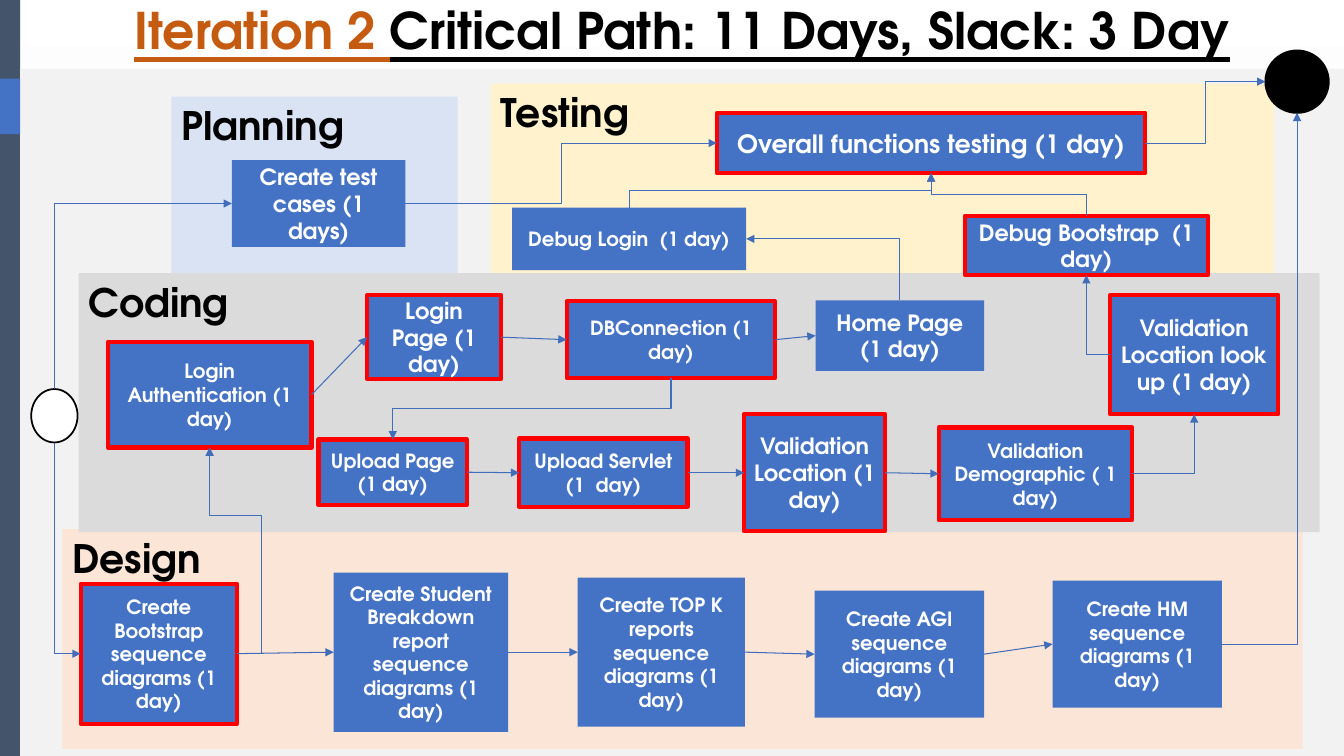
from collections import namedtuple
from lxml import etree
from pptx import Presentation
from pptx.dml.color import RGBColor
from pptx.enum.shapes import MSO_CONNECTOR, MSO_SHAPE
from pptx.enum.text import MSO_ANCHOR, PP_ALIGN
from pptx.oxml.ns import qn
from pptx.util import Inches, Pt

RECT, OVAL = MSO_SHAPE.RECTANGLE, MSO_SHAPE.OVAL
STRAIGHT = MSO_CONNECTOR.STRAIGHT
TOP, MIDDLE = MSO_ANCHOR.TOP, MSO_ANCHOR.MIDDLE
LEFT, CENTER = PP_ALIGN.LEFT, PP_ALIGN.CENTER

Box = namedtuple("Box", "x y w h")
Phase = namedtuple("Phase", "title color box tasks")
Task = namedtuple("Task", "key text box size critical")


class Theme:
    font = "TeX Gyre Adventor"
    black, white, orange = "000000", "FFFFFF", "C55A11"
    sidebar, blue, arrow, red = "44546A", "4472C4", "416DBB", "FF0000"
    canvas, backdrop = "F2F2F2", "E1DFDF"
    title, heading, large, medium, small = 36, 28, 18, 16, 14
    critical_line, node_line, arrow_line = 3, 1.25, 0.75


PHASES = [
    Phase("Design", "FBE5D6", Box(0.62, 5.25, 12.3, 2.18), [
        Task("bootstrap", "Create Bootstrap sequence diagrams (1 day)",
             Box(0.18, 0.54, 1.55, 1.39), Theme.small, True),
        Task("breakdown", "Create Student Breakdown report sequence diagrams (1 day)",
             Box(2.69, 0.43, 1.73, 1.58), Theme.small, False),
        Task("top k", "Create TOP K reports sequence diagrams (1 day)",
             Box(5.11, 0.48, 1.66, 1.48), Theme.small, False),
        Task("agi", "Create AGI sequence diagrams (1 day)",
             Box(7.46, 0.61, 1.68, 1.26), Theme.small, False),
        Task("hm", "Create HM sequence diagrams (1 day)",
             Box(9.82, 0.51, 1.68, 1.26), Theme.small, False)]),
    Phase("Testing", "FFF2CC", Box(4.87, 0.83, 7.77, 2.03), [
        Task("overall", "Overall functions testing (1 day)",
             Box(2.24, 0.29, 4.25, 0.6), Theme.large, True),
        Task("debug login", "Debug Login  (1 day)",
             Box(0.21, 1.23, 2.32, 0.62), Theme.small, False),
        Task("debug bootstrap", "Debug Bootstrap  (1 day)",
             Box(4.7, 1.31, 2.41, 0.59), Theme.medium, True)]),
    Phase("Planning", "DAE3F3", Box(1.7, 0.96, 2.84, 1.77), [
        Task("test cases", "Create test cases (1 days)",
             Box(0.6, 0.63, 1.72, 0.86), Theme.medium, False)]),
    Phase("Coding", "DBDBDB", Box(0.78, 2.71, 12.31, 2.57), [
        Task("authentication", "Login Authentication (1 day)",
             Box(0.29, 0.68, 2.02, 1.05), Theme.small, True),
        Task("login page", "Login Page (1 day)",
             Box(2.86, 0.22, 1.33, 0.83), Theme.medium, True),
        Task("connection", "DBConnection (1 day)",
             Box(4.84, 0.28, 2.07, 0.76), Theme.small, True),
        Task("home page", "Home Page (1 day)",
             Box(7.31, 0.27, 1.67, 0.7), Theme.medium, False),
        Task("upload page", "Upload Page (1 day)",
             Box(2.38, 1.65, 1.47, 0.65), Theme.small, True),
        Task("servlet", "Upload Servlet (1  day)",
             Box(4.37, 1.64, 1.67, 0.68), Theme.small, True),
        Task("location", "Validation Location (1 day)",
             Box(6.6, 1.4, 1.4, 1.16), Theme.medium, True),
        Task("demographic", "Validation Demographic ( 1 day)",
             Box(8.53, 1.53, 1.92, 0.92), Theme.small, True),
        Task("look up", "Validation Location look up (1 day)",
             Box(10.23, 0.22, 1.67, 1.18), Theme.medium, True)]),
]

ROW_CHAINS = [
    ["bootstrap", "breakdown", "top k", "agi", "hm"],
    ["authentication", "login page", "connection", "home page"],
    ["upload page", "servlet", "location", "demographic"],
]
ELBOWS = [
    ("start", "top", "test cases", "left", 2, ()),
    ("start", "bottom", "bootstrap", "left", 2, ()),
    ("test cases", "right", "overall", "left", 3, (0.5,)),
    ("debug login", "top", "overall", "bottom", 3, (0.5,)),
    ("debug bootstrap", "top", "overall", "bottom", 3, (0.5,)),
    ("overall", "right", "finish", "left", 3, (0.5,)),
    ("hm", "right", "finish", "bottom", 2, ()),
    ("connection", "bottom", "upload page", "top", 3, (0.5,)),
    ("home page", "top", "debug login", "right", 2, ()),
    ("demographic", "right", "look up", "bottom", 2, ()),
    ("look up", "left", "debug bootstrap", "bottom", 2, ()),
    ("bootstrap", "right", "authentication", "bottom", 4, (-0.92, 0.67)),
]
SIDES = {"top": (0.5, 0), "left": (0, 0.5), "bottom": (0.5, 1), "right": (1, 0.5)}


def rgb(color):
    return RGBColor.from_string(color)


def add_run(paragraph, text, size, color, underline=None):
    run = paragraph.add_run()
    run.text = text
    run.font.name, run.font.size = Theme.font, Pt(size)
    run.font.bold, run.font.underline = True, underline
    run.font.color.rgb = rgb(color)


def add_block(slide, box, fill, line=None, width=0, kind=RECT):
    block = slide.shapes.add_shape(kind, *map(Inches, box))
    block.shadow.inherit = False
    block.fill.solid()
    block.fill.fore_color.rgb = rgb(fill)
    if line:
        block.line.color.rgb = rgb(line)
        block.line.width = Pt(width)
    else:
        block.line.fill.background()
    return block


def write_label(block, text, size, color, align, anchor):
    frame = block.text_frame
    frame.word_wrap, frame.vertical_anchor = True, anchor
    frame.paragraphs[0].alignment = align
    add_run(frame.paragraphs[0], text, size, color)


def draw_backdrop(slide, box):
    fill = slide.background.fill
    fill.gradient()
    fill.gradient_angle = 270
    for stop, color in zip(fill.gradient_stops, (Theme.white, Theme.backdrop)):
        stop.color.rgb = rgb(color)
    add_block(slide, Box(box.x, box.y, 0.2, box.h), Theme.sidebar)
    add_block(slide, Box(box.x + 0.2, box.y + 0.68, box.w - 0.2, box.h - 0.68), Theme.canvas)
    add_block(slide, Box(box.x, box.y + 0.78, 0.2, 0.55), Theme.blue)


def draw_title(slide, box):
    title = slide.shapes.title
    title.left, title.top, title.width, title.height = map(Inches, box)
    frame = title.text_frame
    frame.word_wrap, frame.vertical_anchor = True, TOP
    frame.margin_top = Inches(0.12)
    heading = frame.paragraphs[0]
    heading.alignment, heading.line_spacing = CENTER, 0.9
    add_run(heading, "Iteration 2 ", Theme.title, Theme.orange, True)
    add_run(heading, "Critical Path: 11 Days, Slack: 3 Day", Theme.title, Theme.black, True)


def draw_panel(slide, phase):
    panel = add_block(slide, phase.box, phase.color)
    write_label(panel, phase.title, Theme.heading, Theme.black, LEFT, TOP)


def draw_tasks(slide, phase):
    blocks = {}
    for task in phase.tasks:
        place = task.box._replace(x=phase.box.x + task.box.x, y=phase.box.y + task.box.y)
        outline = Theme.red if task.critical else None
        block = add_block(slide, place, Theme.blue, outline, Theme.critical_line)
        write_label(block, task.text, task.size, Theme.white, CENTER, MIDDLE)
        blocks[task.key] = block
    return blocks


def side_point(block, side):
    across, down = SIDES[side]
    return block.left + int(across * block.width), block.top + int(down * block.height)


def add_arrow(slide, source, source_side, target, target_side, bends=0, adjustments=()):
    x1, y1 = side_point(source, source_side)
    x2, y2 = side_point(target, target_side)
    arrow = slide.shapes.add_connector(STRAIGHT, x1, y1, x2, y2)
    arrow.line.color.rgb = rgb(Theme.arrow)
    arrow.line.width = Pt(Theme.arrow_line)
    properties = arrow._element.spPr
    etree.SubElement(properties.find(qn("a:ln")), qn("a:tailEnd"), type="triangle")
    etree.SubElement(properties, qn("a:effectLst"))
    if bends:
        bend_arrow(arrow, x2 - x1, y2 - y1, source_side in ("top", "bottom"), bends, adjustments)


def bend_arrow(arrow, dx, dy, vertical, bends, adjustments):
    properties = arrow._element.spPr
    if vertical:
        center_x, center_y = arrow.left + abs(dx) // 2, arrow.top + abs(dy) // 2
        arrow.left, arrow.top = center_x - abs(dy) // 2, center_y - abs(dx) // 2
        arrow.width, arrow.height = abs(dy), abs(dx)
    flip_h, flip_v = (dy < 0, dx > 0) if vertical else (dx < 0, dy < 0)
    frame = properties.find(qn("a:xfrm"))
    frame.set("rot", "5400000" if vertical else "0")
    frame.set("flipH", str(int(flip_h)))
    frame.set("flipV", str(int(flip_v)))
    geometry = properties.find(qn("a:prstGeom"))
    geometry.set("prst", f"bentConnector{bends}")
    guides = geometry.find(qn("a:avLst"))
    for number, share in enumerate(adjustments, 1):
        etree.SubElement(guides, qn("a:gd"), name=f"adj{number}", fmla=f"val {round(share * 100000)}")


def draw_schedule(slide, box):
    for phase in PHASES:
        draw_panel(slide, phase)
    blocks = {}
    for key, node, color in (("start", Box(0.31, 3.86, 0.46, 0.53), Theme.white),
                             ("finish", Box(12.55, 0.5, 0.63, 0.62), Theme.black)):
        place = node._replace(x=box.x + node.x, y=box.y + node.y)
        blocks[key] = add_block(slide, place, color, Theme.black, Theme.node_line, OVAL)
    for phase in PHASES:
        blocks.update(draw_tasks(slide, phase))
    for chain in ROW_CHAINS:
        for source, target in zip(chain, chain[1:]):
            add_arrow(slide, blocks[source], "right", blocks[target], "left")
    for source, source_side, target, target_side, bends, adjustments in ELBOWS:
        add_arrow(slide, blocks[source], source_side, blocks[target], target_side, bends, adjustments)


def main():
    deck = Presentation()
    deck.slide_width, deck.slide_height = Inches(13.33), Inches(7.5)
    slide = deck.slides.add_slide(deck.slide_layouts[5])
    page = Box(0, 0, 13.33, 7.5)
    draw_backdrop(slide, page)
    draw_title(slide, Box(0.15, -0.06, 13.23, 1.45))
    draw_schedule(slide, page)
    deck.save("out.pptx")


if __name__ == "__main__":
    main()
